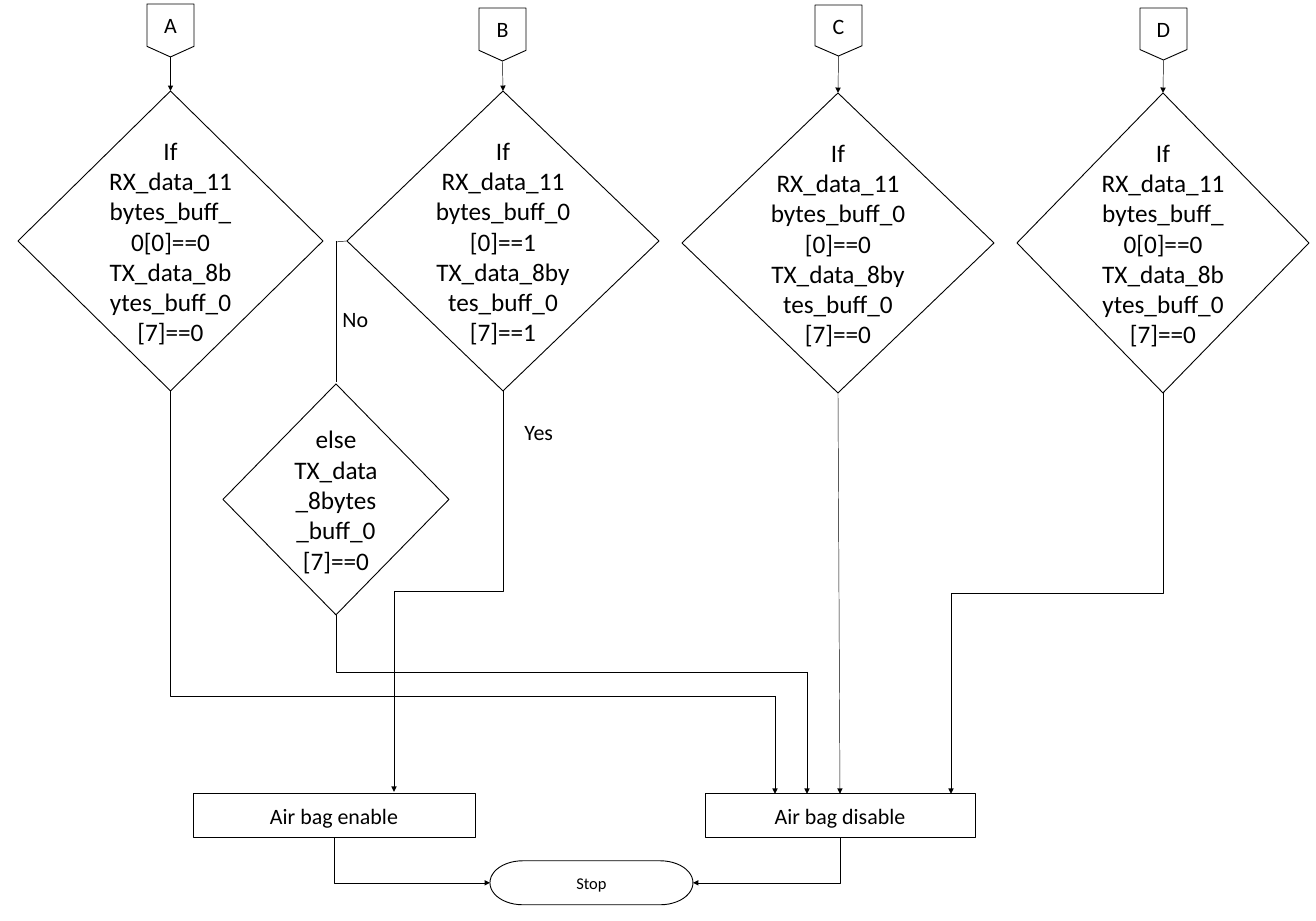
from dataclasses import dataclass

from lxml.etree import SubElement
from pptx import Presentation
from pptx.dml.color import RGBColor
from pptx.enum.shapes import MSO_CONNECTOR, MSO_SHAPE
from pptx.enum.text import MSO_ANCHOR, PP_ALIGN
from pptx.oxml.ns import qn
from pptx.util import Inches, Pt

SCALE = 914400 / 65.8  # EMU per pixel


@dataclass(frozen=True)
class Theme:
    ink: RGBColor = RGBColor(0, 0, 0)
    paper: RGBColor = RGBColor(255, 255, 255)
    font: str = "Calibri"
    test: float = 27.6
    label: float = 24
    stop: float = 18
    edge: float = 1
    wire: float = 0.5


THEME = Theme()
TOP, BOTTOM = 0, 2  # connection sites


def px(*sizes):
    return [round(size * SCALE) for size in sizes]


def write(frame, lines, size, align):
    frame.word_wrap = True
    frame.text = "\n".join(lines)
    for para in frame.paragraphs:
        para.alignment = align
        para.font.name = THEME.font
        para.font.size = Pt(size)
        para.font.color.rgb = THEME.ink


def node(slide, kind, box, lines, size=THEME.label):
    shape = slide.shapes.add_shape(kind, *px(*box))
    shape.shadow.inherit = False
    shape.fill.solid()
    shape.fill.fore_color.rgb = THEME.paper
    shape.line.color.rgb = THEME.ink
    shape.line.width = Pt(THEME.edge)
    frame = shape.text_frame
    frame.vertical_anchor = MSO_ANCHOR.MIDDLE
    write(frame, lines, size, PP_ALIGN.CENTER)
    return shape


def test(slide, box, lines):
    shape = node(slide, MSO_SHAPE.FLOWCHART_DECISION, box, lines, THEME.test)
    frame = shape.text_frame
    frame.margin_left, frame.margin_right = px(10, 10)
    frame.margin_top, frame.margin_bottom = px(5, 5)
    return shape


def label(slide, left, top, word):
    box = slide.shapes.add_textbox(*px(left, top, 85, 33))
    write(box.text_frame, [word], THEME.label, PP_ALIGN.LEFT)


def line(slide, start, end, kind=MSO_CONNECTOR.STRAIGHT, arrow=True):
    wire = slide.shapes.add_connector(kind, *px(*start, *end))
    wire.line.color.rgb = THEME.ink
    wire.line.width = Pt(THEME.wire)
    if arrow:
        SubElement(wire.line._ln, qn("a:tailEnd"), type="triangle")
    SubElement(wire.element.spPr, qn("a:effectLst"))
    return wire


def link(slide, upper, lower):
    wire = line(slide, (0, 0), (0, 0))
    wire.begin_connect(upper, BOTTOM)
    wire.end_connect(lower, TOP)


def bend(slide, start, end, turns=1, arrow=True):
    """Elbow that leaves downward: its box is turned a quarter about the middle."""
    (x1, y1), (x2, y2) = start, end
    mid_x, mid_y = (x1 + x2) / 2, (y1 + y2) / 2
    half_w, half_h = (y2 - y1) / 2, abs(x2 - x1) / 2
    wire = line(slide, (mid_x - half_w, mid_y - half_h),
                (mid_x + half_w, mid_y + half_h), MSO_CONNECTOR.ELBOW, arrow)
    props = wire.element.spPr
    props.find(qn("a:prstGeom")).set("prst", f"bentConnector{turns + 1}")
    frame = props.find(qn("a:xfrm"))
    frame.set("rot", str((270 if x2 > x1 else 90) * 60000))
    if x2 > x1:
        frame.set("flipH", "1")


def main():
    deck = Presentation()
    deck.slide_width, deck.slide_height = Inches(20), Inches(14)
    slide = deck.slides.add_slide(deck.slide_layouts[6])

    # Results and end
    enable = (193, 794, 282, 44)
    node(slide, MSO_SHAPE.FLOWCHART_PROCESS, enable, ["Air bag enable"])
    disable = node(slide, MSO_SHAPE.FLOWCHART_PROCESS, (705, 794, 270, 44),
                   ["Air bag disable"])
    node(slide, MSO_SHAPE.FLOWCHART_TERMINATOR, (490, 861, 203, 44),
         ["Stop"], THEME.stop)

    # Entry tags and their tests: name, tag box, test box, flag, last lines
    send = "TX_data_8bytes_buff_0"
    lanes = [
        ("A", (147, 4, 47, 53), (18, 91, 305, 300), 0, [send, "[7]==0"]),
        ("B", (479, 8, 47, 53), (347, 91, 312, 300), 1, [send, "[7]==1"]),
        ("C", (815, 5, 47, 51), (682, 93, 312, 300), 0, [send, "[7]==0"]),
        ("D", (1140, 8, 47, 52), (1017, 93, 292, 300), 0, [send + "[7]==0"]),
    ]
    tests = {}
    for name, tag_box, box, flag, last in lanes:
        tag = node(slide, MSO_SHAPE.FLOWCHART_OFFPAGE_CONNECTOR, tag_box, [name])
        head = ["If", "RX_data_11", f"bytes_buff_0[0]=={flag}"]
        tests[name] = test(slide, box, head + last)
        link(slide, tag, tests[name])

    # Else branch of B
    line(slide, (347, 241), (336, 242), arrow=False)
    line(slide, (336, 241), (336, 382), arrow=False)
    test(slide, (223, 384, 226, 231), ["else", send, "[7]==0"])
    label(slide, 336, 302, "No")
    label(slide, 518, 415, "Yes")

    # Paths to the results
    link(slide, tests["C"], disable)
    bend(slide, (1163, 393), (951, 794), turns=2)
    bend(slide, (503, 391), (394, 792), turns=2)
    for start, turn in [((170, 391), (775, 696)), ((336, 615), (807, 672))]:
        bend(slide, start, turn, arrow=False)
        line(slide, turn, (turn[0], 794))

    # Paths to the end
    bend(slide, (334, 838), (490, 883))
    bend(slide, (840, 838), (693, 883))

    deck.save("out.pptx")


main()
